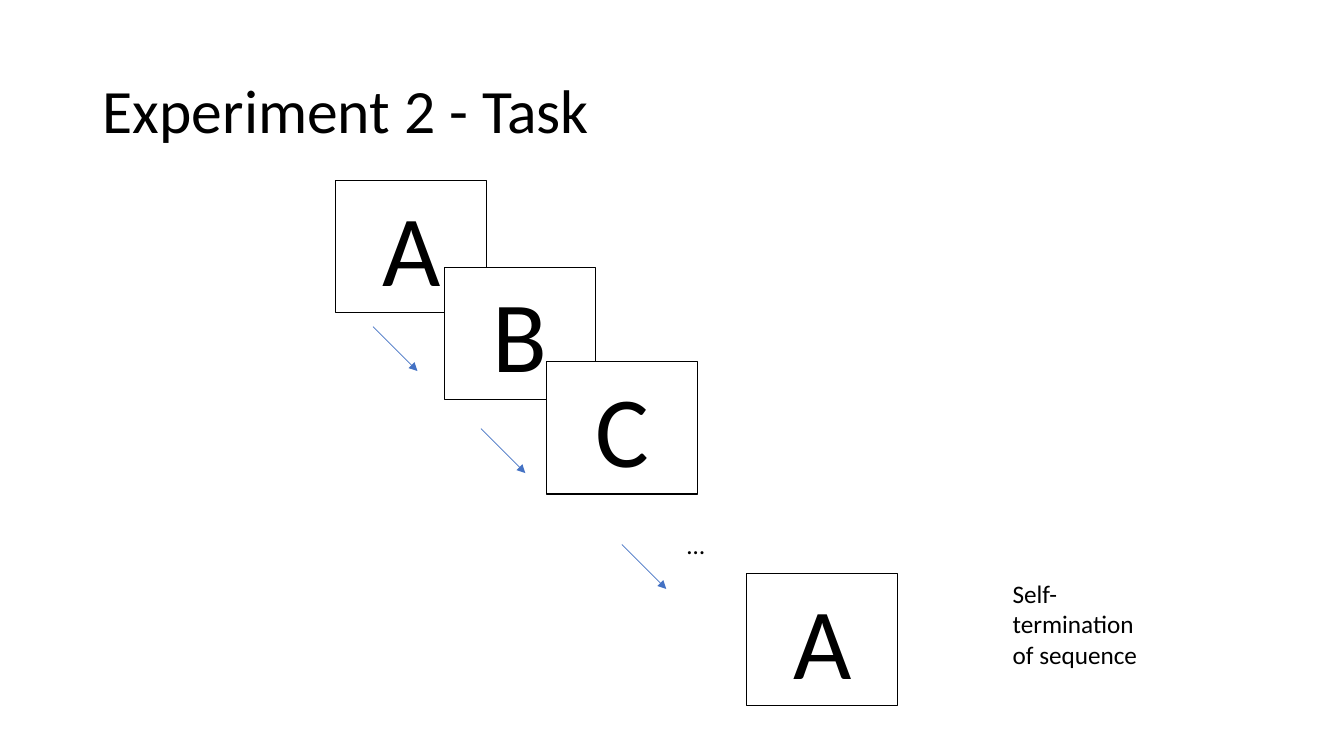
"""Build the slide that shows the letter sequence task of experiment 2."""
from dataclasses import dataclass
from typing import Any

import pptx
import pptx.dml.color
import pptx.enum.shapes
import pptx.enum.text
import pptx.oxml
import pptx.oxml.ns
import pptx.util
from pptx.util import Cm


@dataclass(frozen=True)
class Theme:
    font: str = "Calibri"
    ink: str = "000000"
    paper: str = "FFFFFF"
    arrow: str = "4472C4"
    title_size: float = 44
    letter_size: float = 72
    note_size: float = 18
    card_line: float = 0.75
    arrow_line: float = 0.5


@dataclass(frozen=True)
class Card:
    letter: str
    left: float
    top: float
    filled: bool = True


@dataclass(frozen=True)
class Arrow:
    left: float
    top: float


@dataclass(frozen=True)
class Note:
    text: str
    left: float
    top: float
    width: float
    height: float


THEME = Theme()
CARD_WIDTH, CARD_HEIGHT = 3.81, 3.33
ARROW_STEP = 1.12
SEQUENCE = [
    Card("A", 8.46, 4.55, filled=False),
    Card("B", 11.2, 6.73),
    Card("C", 13.77, 9.12),
    Arrow(9.4, 8.23),
    Arrow(12.12, 10.8),
    Arrow(15.67, 13.72),
    Note("…", 17.07, 13.21, 2.59, 1.02),
    Card("A", 18.82, 14.45),
    Note("Self-termination of sequence", 25.27, 14.45, 4.09, 2.57),
]


def color(value: str) -> pptx.dml.color.RGBColor:
    return pptx.dml.color.RGBColor.from_string(value)


def write_text(
    shape: Any,
    text: str,
    *,
    size: float,
    align: pptx.enum.text.PP_ALIGN = pptx.enum.text.PP_ALIGN.LEFT,
    anchor: pptx.enum.text.MSO_ANCHOR = pptx.enum.text.MSO_ANCHOR.TOP,
    line_spacing: float = 1.0,
) -> None:
    frame = shape.text_frame
    frame.word_wrap = True
    frame.vertical_anchor = anchor
    paragraph = frame.paragraphs[0]
    paragraph.alignment = align
    paragraph.line_spacing = line_spacing
    run = paragraph.add_run()
    run.text = text
    run.font.name = THEME.font
    run.font.size = pptx.util.Pt(size)
    run.font.color.rgb = color(THEME.ink)


def add_title(slide: Any, text: str) -> None:
    title = slide.shapes.title
    title.left, title.top = Cm(2.34), Cm(1.02)
    title.width, title.height = Cm(29.21), Cm(3.68)
    write_text(title, text, size=THEME.title_size, line_spacing=0.9,
               anchor=pptx.enum.text.MSO_ANCHOR.MIDDLE)


def add_card(slide: Any, card: Card) -> None:
    shape = slide.shapes.add_shape(
        pptx.enum.shapes.MSO_SHAPE.RECTANGLE,
        Cm(card.left), Cm(card.top), Cm(CARD_WIDTH), Cm(CARD_HEIGHT),
    )
    shape.shadow.inherit = False
    if card.filled:
        shape.fill.solid()
        shape.fill.fore_color.rgb = color(THEME.paper)
    else:
        shape.fill.background()
    shape.line.color.rgb = color(THEME.ink)
    shape.line.width = pptx.util.Pt(THEME.card_line)
    write_text(shape, card.letter, size=THEME.letter_size,
               align=pptx.enum.text.PP_ALIGN.CENTER)


def add_arrow(slide: Any, arrow: Arrow) -> None:
    connector = slide.shapes.add_connector(
        pptx.enum.shapes.MSO_CONNECTOR.STRAIGHT,
        Cm(arrow.left), Cm(arrow.top),
        Cm(arrow.left + ARROW_STEP), Cm(arrow.top + ARROW_STEP),
    )
    connector.line.color.rgb = color(THEME.arrow)
    connector.line.width = pptx.util.Pt(THEME.arrow_line)
    namespace = pptx.oxml.ns.nsdecls("a")
    connector.line._get_or_add_ln().append(
        pptx.oxml.parse_xml(f'<a:tailEnd {namespace} type="triangle"/>'))
    connector._element.spPr.append(pptx.oxml.parse_xml(f"<a:effectLst {namespace}/>"))


def add_note(slide: Any, note: Note) -> None:
    box = slide.shapes.add_textbox(
        Cm(note.left), Cm(note.top), Cm(note.width), Cm(note.height))
    write_text(box, note.text, size=THEME.note_size)


def main() -> None:
    presentation = pptx.Presentation()
    presentation.slide_width, presentation.slide_height = Cm(33.87), Cm(19.05)
    slide = presentation.slides.add_slide(presentation.slide_layouts[5])
    add_title(slide, "Experiment 2 - Task")
    draw = {Card: add_card, Arrow: add_arrow, Note: add_note}
    for element in SEQUENCE:
        draw[type(element)](slide, element)
    presentation.save("out.pptx")


if __name__ == "__main__":
    main()
